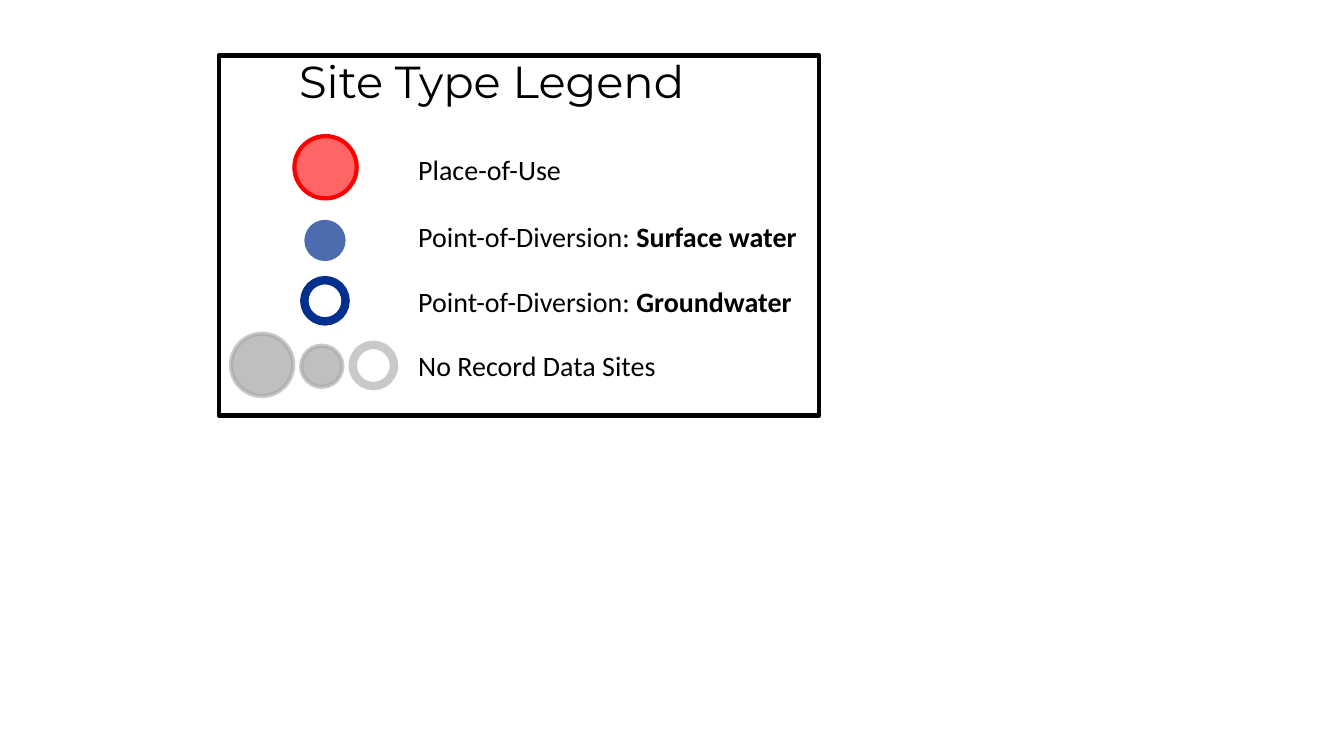
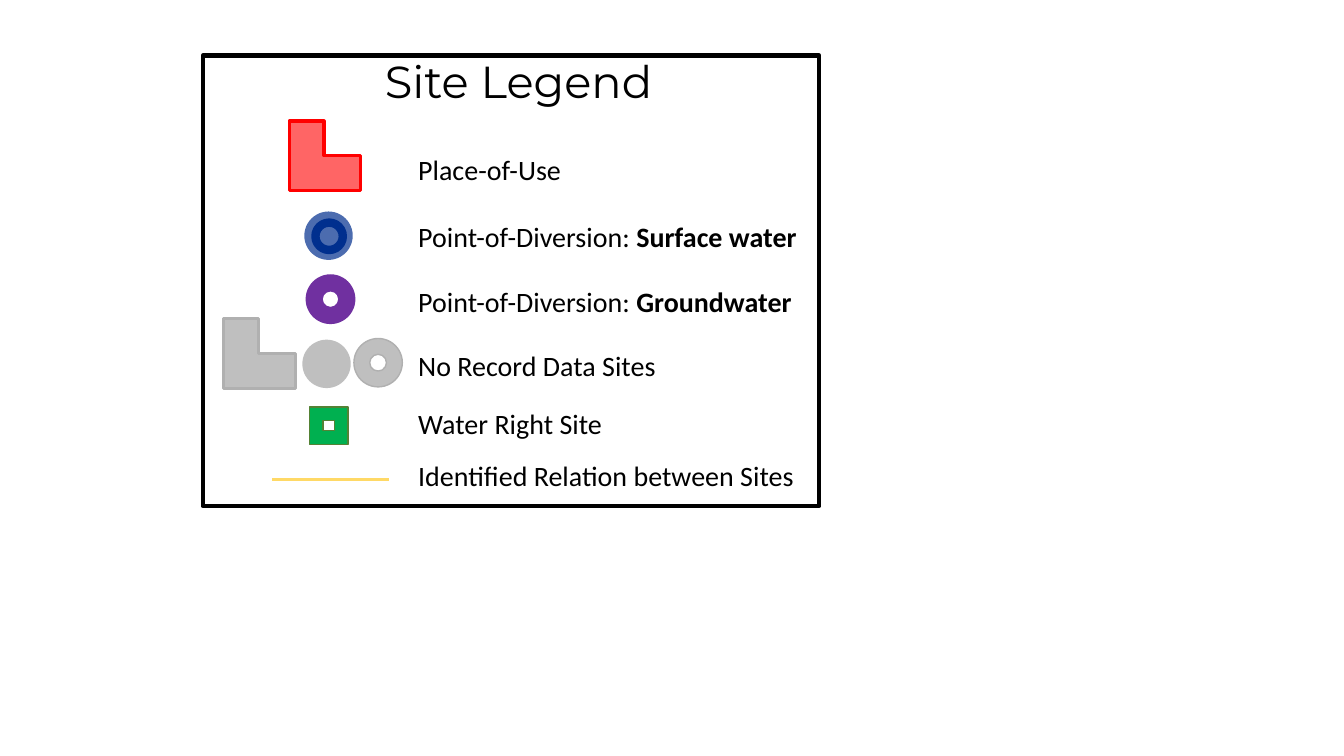
"""Build two map legend slides for water right sites."""
from dataclasses import dataclass
from typing import Optional

from lxml.etree import SubElement
from pptx import Presentation
from pptx.dml.color import RGBColor
from pptx.enum.shapes import MSO_CONNECTOR as Connector, MSO_SHAPE as Preset
from pptx.enum.text import MSO_AUTO_SIZE as AutoSize, PP_ALIGN as Align
from pptx.oxml.ns import qn
from pptx.slide import Slide
from pptx.util import Cm, Pt


@dataclass(frozen=True)
class Theme:
    black: RGBColor = RGBColor(0x00, 0x00, 0x00)
    white: RGBColor = RGBColor(0xFF, 0xFF, 0xFF)
    red: RGBColor = RGBColor(0xFF, 0x00, 0x00)
    pink: RGBColor = RGBColor(0xFF, 0x65, 0x65)
    navy: RGBColor = RGBColor(0x00, 0x2F, 0x8E)
    purple: RGBColor = RGBColor(0x70, 0x30, 0xA0)
    green: RGBColor = RGBColor(0x00, 0xB0, 0x50)
    dark_green: RGBColor = RGBColor(0x54, 0x82, 0x35)
    yellow: RGBColor = RGBColor(0xFF, 0xD9, 0x66)
    silver: RGBColor = RGBColor(0xBF, 0xBF, 0xBF)
    grey: RGBColor = RGBColor(0xA6, 0xA6, 0xA6)
    edge_grey: RGBColor = RGBColor(0xB0, 0xB0, 0xB0)
    title_font: str = "Montserrat"
    label_font: str = "Calibri"
    title_size: int = 32
    label_size: int = 20


THEME = Theme()


@dataclass(frozen=True)
class Style:
    fill: Optional[RGBColor] = None
    line: Optional[RGBColor] = None
    weight: float = 0
    fill_opacity: int = 100
    line_opacity: int = 100


@dataclass(frozen=True)
class Marker:
    preset: Preset
    left: float
    top: float
    width: float
    height: float
    style: Style
    adjustment: Optional[float] = None


@dataclass(frozen=True)
class Label:
    top: float
    text: str
    bold_text: str = ""


@dataclass(frozen=True)
class Legend:
    title: str
    title_align: Align
    panel_left: float
    panel_height: float
    labels: tuple[Label, ...]
    markers: tuple[Marker, ...]
    relation_top: Optional[float] = None


PANEL_TOP, PANEL_RIGHT = 1.4, 20.65
TITLE_LEFT, TITLE_TOP, TITLE_WIDTH, TITLE_HEIGHT = 7.29, 1.24, 11.56, 1.63
LABEL_LEFT, LABEL_WIDTH, LABEL_HEIGHT = 10.29, 10.36, 1.12
RELATION_LEFT, RELATION_RIGHT = 6.86, 9.8
LARGE, MEDIUM, SMALL, CORE = 1.57, 1.22, 1.04, 0.69
DONUT_HOLE, FRAME_BORDER = 0.327, 0.366

PANEL = Style(THEME.white, THEME.black, 3)
PLACE = Style(THEME.pink, THEME.red, 3)
PLACE_AREA = Style(THEME.pink, THEME.red, 2.25)
SURFACE = Style(THEME.navy, fill_opacity=70)
NAVY_RING = Style(line=THEME.navy, weight=6)
GROUNDWATER = Style(THEME.purple, THEME.purple, 1)
NO_RECORD = Style(THEME.silver, THEME.grey, 3, line_opacity=60)
NO_RECORD_RING = Style(line=THEME.grey, weight=6, line_opacity=60)
NO_RECORD_AREA = Style(THEME.silver, THEME.edge_grey, 2.25)
NO_RECORD_DONUT = Style(THEME.silver, THEME.edge_grey, 1)
NO_RECORD_PLAIN = Style(THEME.silver)
WATER_RIGHT = Style(THEME.green, THEME.dark_green, 1)


def circle(left: float, top: float, size: float, style: Style) -> Marker:
    return Marker(Preset.OVAL, left, top, size, size, style)


def donut(left: float, top: float, style: Style) -> Marker:
    return Marker(Preset.DONUT, left, top, MEDIUM, MEDIUM, style, DONUT_HOLE)


def corner(left: float, top: float, style: Style) -> Marker:
    return Marker(Preset.CORNER, left, top, 1.8, 1.75, style)


SITE_LABELS = (
    Label(3.73, "Place-of-Use"),
    Label(5.41, "Point-of-Diversion: ", "Surface water"),
    Label(7.04, "Point-of-Diversion: ", "Groundwater"),
    Label(8.66, "No Record Data Sites"),
)

LEGENDS = (
    Legend(
        "Site Type Legend", Align.LEFT, 5.51, 9.07, SITE_LABELS,
        (
            circle(7.42, 3.43, LARGE, PLACE),
            circle(7.67, 5.54, SMALL, SURFACE),
            circle(7.67, 7.06, SMALL, NAVY_RING),
            circle(5.82, 8.41, LARGE, NO_RECORD),
            circle(7.59, 8.71, SMALL, NO_RECORD),
            circle(8.89, 8.69, SMALL, NO_RECORD_RING),
        ),
    ),
    Legend(
        "Site Legend", Align.CENTER, 5.11, 11.35,
        SITE_LABELS + (
            Label(10.13, "Water Right Site"),
            Label(11.43, "Identified Relation between Sites"),
        ),
        (
            circle(7.67, 5.33, MEDIUM, SURFACE),
            circle(7.95, 5.61, CORE, NAVY_RING),
            corner(7.29, 3.05, PLACE_AREA),
            donut(7.72, 6.93, GROUNDWATER),
            circle(7.62, 8.56, MEDIUM, NO_RECORD_PLAIN),
            corner(5.64, 8.03, NO_RECORD_AREA),
            donut(8.92, 8.53, NO_RECORD_DONUT),
            Marker(Preset.FRAME, 7.8, 10.26, 0.97, 0.94, WATER_RIGHT, FRAME_BORDER),
        ),
        relation_top=12.09,
    ),
)


def set_opacity(parent, percent: int) -> None:
    if percent < 100:
        colour = parent.find(f"{qn('a:solidFill')}/{qn('a:srgbClr')}")
        SubElement(colour, qn("a:alpha")).set("val", str(percent * 1000))


def draw_marker(slide: Slide, marker: Marker) -> None:
    style = marker.style
    shape = slide.shapes.add_shape(
        marker.preset, Cm(marker.left), Cm(marker.top), Cm(marker.width), Cm(marker.height)
    )
    shape.shadow.inherit = False
    if marker.adjustment is not None:
        shape.adjustments[0] = marker.adjustment
    properties = shape.element.spPr
    if style.fill is None:
        shape.fill.background()
    else:
        shape.fill.solid()
        shape.fill.fore_color.rgb = style.fill
        set_opacity(properties, style.fill_opacity)
    if style.line is None:
        shape.line.fill.background()
    else:
        shape.line.color.rgb = style.line
        shape.line.width = Pt(style.weight)
        set_opacity(properties.find(qn("a:ln")), style.line_opacity)


def draw_text(slide: Slide, left: float, top: float, width: float, height: float,
              text: str, font_name: str, size: int, bold_text: str = "",
              align: Align = Align.LEFT) -> None:
    frame = slide.shapes.add_textbox(Cm(left), Cm(top), Cm(width), Cm(height)).text_frame
    frame.word_wrap = True
    frame.auto_size = AutoSize.SHAPE_TO_FIT_TEXT
    paragraph = frame.paragraphs[0]
    paragraph.alignment = align
    paragraph.font.name = font_name
    paragraph.font.size = Pt(size)
    paragraph.font.color.rgb = THEME.black
    paragraph.add_run().text = text
    if bold_text:
        run = paragraph.add_run()
        run.text = bold_text
        run.font.bold = True


def draw_relation(slide: Slide, top: float) -> None:
    connector = slide.shapes.add_connector(
        Connector.STRAIGHT, Cm(RELATION_LEFT), Cm(top), Cm(RELATION_RIGHT), Cm(top)
    )
    connector.line.color.rgb = THEME.yellow
    connector.line.width = Pt(2.25)
    SubElement(connector.element.spPr, qn("a:effectLst"))


def draw_legend(slide: Slide, legend: Legend) -> None:
    draw_marker(slide, Marker(
        Preset.RECTANGLE, legend.panel_left, PANEL_TOP,
        PANEL_RIGHT - legend.panel_left, legend.panel_height, PANEL,
    ))
    for marker in legend.markers:
        draw_marker(slide, marker)
    for label in legend.labels:
        draw_text(slide, LABEL_LEFT, label.top, LABEL_WIDTH, LABEL_HEIGHT,
                  label.text, THEME.label_font, THEME.label_size, label.bold_text)
    draw_text(slide, TITLE_LEFT, TITLE_TOP, TITLE_WIDTH, TITLE_HEIGHT,
              legend.title, THEME.title_font, THEME.title_size, align=legend.title_align)
    if legend.relation_top is not None:
        draw_relation(slide, legend.relation_top)


def main() -> None:
    presentation = Presentation()
    presentation.slide_width = Cm(33.87)
    presentation.slide_height = Cm(19.05)
    blank_layout = presentation.slide_layouts[6]
    for legend in LEGENDS:
        draw_legend(presentation.slides.add_slide(blank_layout), legend)
    presentation.save("out.pptx")


if __name__ == "__main__":
    main()
